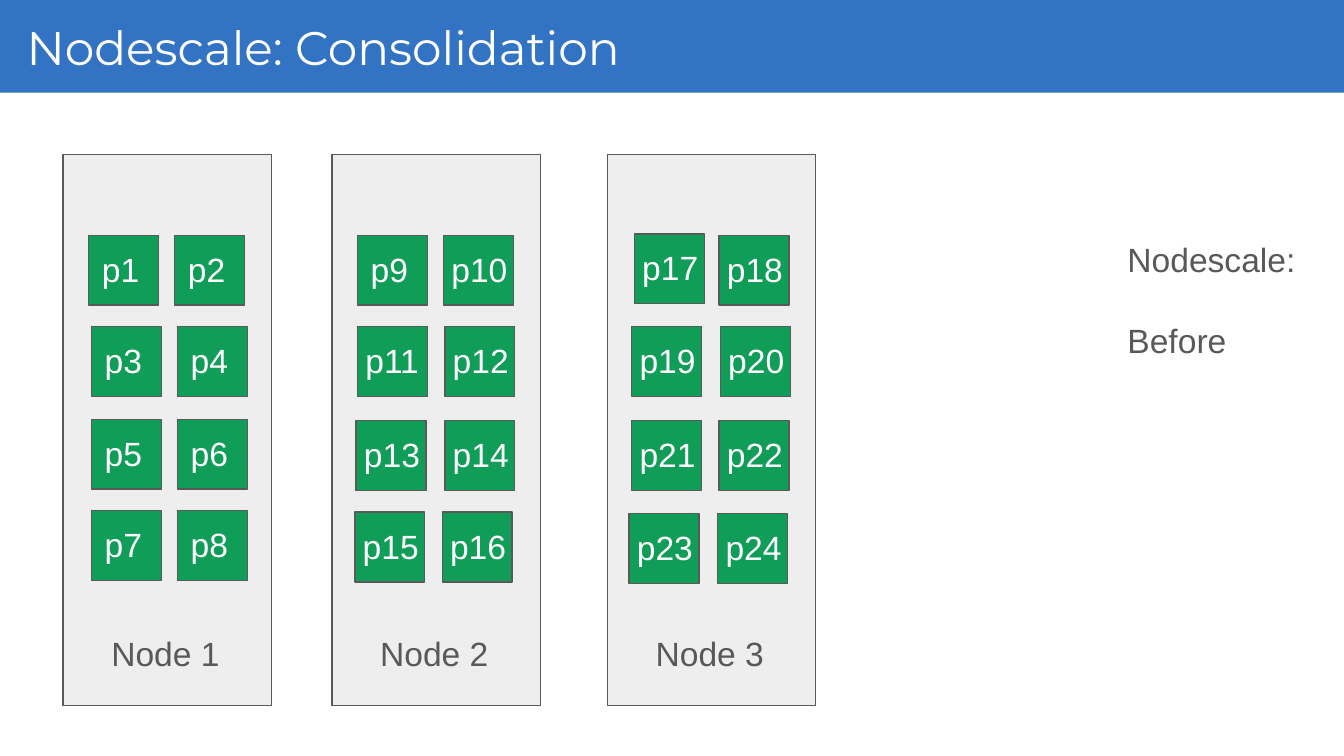
from lxml import etree
from pptx import Presentation
from pptx.dml.color import RGBColor
from pptx.enum.shapes import MSO_SHAPE as SHAPE
from pptx.enum.text import MSO_ANCHOR as ANCHOR
from pptx.oxml.ns import qn
from pptx.util import Inches, Pt

BLUE, GREEN, GRAY, LIGHT, WHITE = "0051B5", "0F9D58", "595959", "EEEEEE", "FFFFFF"
WIDTH = 10
HEIGHT = WIDTH * 9 / 16
POD = 0.52
NODE_TOP, NODE_W, NODE_H = 1.15, 1.55, 4.1

# Left edge of each node, then left, right and top of each pod row
NODES = [
    (0.47, [(0.66, 1.3, 1.75), (0.68, 1.32, 2.43), (0.68, 1.32, 3.12), (0.68, 1.32, 3.8)]),
    (2.47, [(2.66, 3.3, 1.75), (2.66, 3.31, 2.43), (2.65, 3.31, 3.13), (2.64, 3.29, 3.81)]),
    (4.52, [(4.72, 5.35, 1.75), (4.7, 5.36, 2.43), (4.7, 5.35, 3.13), (4.68, 5.34, 3.82)]),
]


def rgb(value):
    return RGBColor.from_string(value)


class Deck:
    font, size = "Arial", 18

    def __init__(self, width, height):
        self.prs = Presentation()
        self.prs.slide_width, self.prs.slide_height = Inches(width), Inches(height)
        self.s = self.prs.slides.add_slide(self.prs.slide_layouts[6])

    def rect(self, x, y, w, h, fill, line=None, alpha=None):
        sp = self.s.shapes.add_shape(SHAPE.RECTANGLE, Inches(x), Inches(y), Inches(w), Inches(h))
        sp.shadow.inherit = False
        sp.fill.solid()
        sp.fill.fore_color.rgb = rgb(fill)
        if alpha:
            color = sp.fill._xPr.find(qn("a:solidFill"))[0]
            etree.SubElement(color, qn("a:alpha"), val=str(alpha * 1000))
        if line:
            sp.line.color.rgb = rgb(line)
            sp.line.width = Pt(0.75)
        else:
            sp.line.fill.background()

    def text(self, x, y, w, h, lines, color, font=None, size=None, anchor=ANCHOR.TOP, gap=0):
        tf = self.s.shapes.add_textbox(Inches(x), Inches(y), Inches(w), Inches(h)).text_frame
        tf.word_wrap = True
        tf.vertical_anchor = anchor
        tf.margin_left = tf.margin_right = tf.margin_top = tf.margin_bottom = Inches(0.1)
        for i, line in enumerate(lines):
            p = tf.paragraphs[0] if i == 0 else tf.add_paragraph()
            p.text = line
            p.font.name = font or self.font
            p.font.size = Pt(size or self.size)
            p.font.color.rgb = rgb(color)
            if i:
                p.space_before = Pt(gap)

    def pod(self, x, y, number):
        self.rect(x, y, POD, POD, GREEN, GRAY)
        # Two-digit labels need a wider box
        shift, width = (0.04, 0.72) if number > 9 else (0, POD)
        self.text(x - shift, y, width, POD, [f"p{number}"], WHITE)

    def node(self, x, number):
        self.rect(x, NODE_TOP, NODE_W, NODE_H, LIGHT, GRAY)
        self.text(x + 0.26, 4.61, 1.08, 0.52, [f"Node {number}"], GRAY)


def main():
    deck = Deck(WIDTH, HEIGHT)

    # Title bar
    deck.rect(0, 0, WIDTH, 0.69, BLUE, alpha=80)
    deck.text(0.1, 0.03, 8.41, 0.63, ["Nodescale: Consolidation"], WHITE,
              font="Montserrat", size=25.2, anchor=ANCHOR.MIDDLE)

    # Nodes with their pods, two per row
    number = 0
    for n, (x, rows) in enumerate(NODES, 1):
        deck.node(x, n)
        for left, right, top in rows:
            for pod_x in (left, right):
                number += 1
                # p17 sits slightly higher than its neighbour
                deck.pod(pod_x, top - 0.01 if number == 17 else top, number)

    # Side caption
    deck.text(8.29, 1.68, 1.55, 2.93, ["Nodescale:", "Before"], GRAY, gap=21.5)

    deck.prs.save("out.pptx")


if __name__ == "__main__":
    main()
